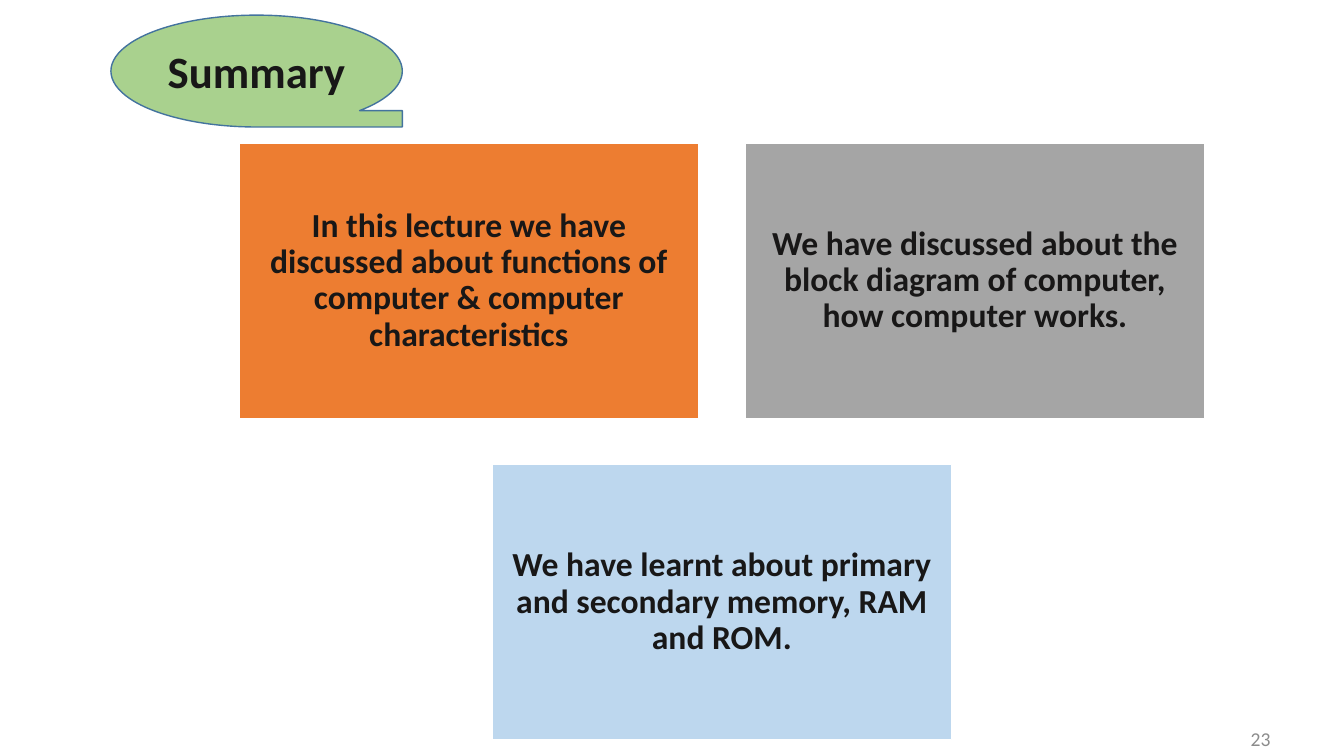
from dataclasses import dataclass

from pptx import Presentation
from pptx.dml.color import RGBColor
from pptx.enum.shapes import MSO_SHAPE as Preset
from pptx.enum.text import MSO_ANCHOR as Anchor, PP_ALIGN as Align
from pptx.util import Pt

EMU_PER_PX = 9144


@dataclass(frozen=True)
class Theme:
    font: str = "Calibri"
    ink: str = "181717"
    muted: str = "8C8C8C"
    title_fill: str = "A9D18E"
    title_line: str = "43739E"
    card_line: str = "FFFFFF"
    card_fills: tuple = ("ED7D31", "A5A5A5", "BDD7EE")
    title_size: int = 32
    card_size: int = 24
    number_size: int = 14


THEME = Theme()

SUMMARY_POINTS = (
    "In this lecture we have discussed about functions of computer & computer characteristics",
    "We have discussed about the block diagram of computer, how computer works.",
    "We have learnt about primary and secondary memory, RAM and ROM.",
)


def px(*lengths):
    return [length * EMU_PER_PX for length in lengths]


def write(holder, text, size, color, bold=True, align=Align.CENTER):
    frame = holder.text_frame
    frame.word_wrap = True
    frame.vertical_anchor = Anchor.MIDDLE
    paragraph = frame.paragraphs[0]
    paragraph.alignment = align
    run = paragraph.add_run()
    run.text = text
    run.font.name = THEME.font
    run.font.size = Pt(size)
    run.font.bold = bold
    run.font.color.rgb = RGBColor.from_string(color)
    return paragraph


def add_panel(slide, preset, box, fill, line):
    panel = slide.shapes.add_shape(preset, *px(*box))
    panel.shadow.inherit = False
    panel.fill.solid()
    panel.fill.fore_color.rgb = RGBColor.from_string(fill)
    panel.line.color.rgb = RGBColor.from_string(line)
    panel.line.width = Pt(1)
    return panel


def add_title(slide, box):
    title = add_panel(slide, Preset.FLOWCHART_SEQUENTIAL_ACCESS_STORAGE, box,
                      THEME.title_fill, THEME.title_line)
    write(title, "Summary", THEME.title_size, THEME.ink)


def add_cards(slide, box, gap=46, columns=2):
    left, top, width, height = box
    rows = -(-len(SUMMARY_POINTS) // columns)
    card_width = (width - gap * (columns - 1)) // columns
    card_height = (height - gap * (rows - 1)) // rows
    for index, (point, fill) in enumerate(zip(SUMMARY_POINTS, THEME.card_fills)):
        row, column = divmod(index, columns)
        in_row = min(columns, len(SUMMARY_POINTS) - row * columns)
        row_width = in_row * card_width + (in_row - 1) * gap
        card_left = left + (width - row_width) // 2 + column * (card_width + gap)
        card_top = top + row * (card_height + gap)
        card = add_panel(slide, Preset.RECTANGLE,
                         (card_left, card_top, card_width, card_height),
                         fill, THEME.card_line)
        frame = card.text_frame
        frame.margin_left, frame.margin_top, frame.margin_right, frame.margin_bottom = px(10, 10, 10, 10)
        write(card, point, THEME.card_size, THEME.ink).line_spacing = 0.9


def add_slide_number(slide, box):
    number = slide.shapes.add_textbox(*px(*box))
    write(number, "23", THEME.number_size, THEME.muted, bold=False, align=Align.RIGHT)


def main():
    deck = Presentation()
    deck.slide_width, deck.slide_height = px(1333, 750)
    slide = deck.slides.add_slide(deck.slide_layouts[6])
    add_slide_number(slide, (1046, 715, 224, 35))
    add_title(slide, (110, 15, 289, 111))
    add_cards(slide, (237, 142, 958, 592))
    deck.save("out.pptx")


if __name__ == "__main__":
    main()
